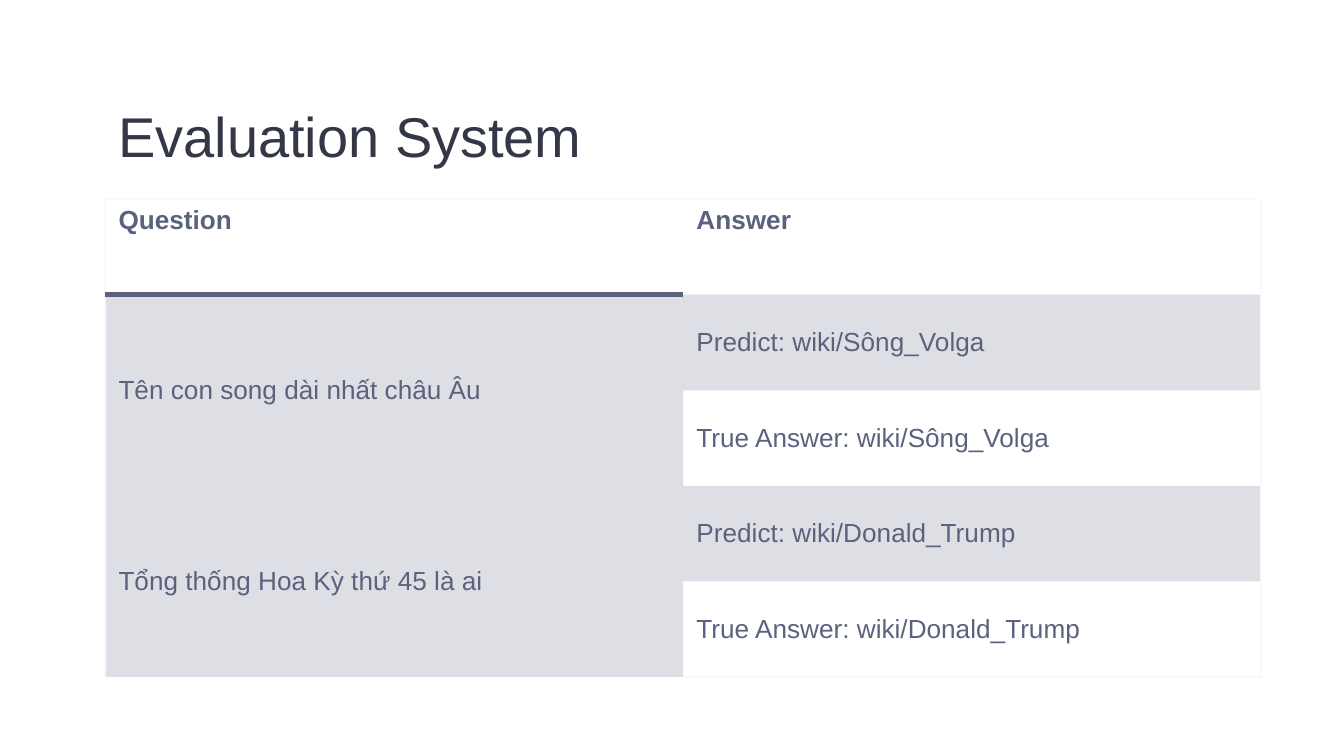
from dataclasses import dataclass, field

from lxml.etree import SubElement
from pptx import Presentation
from pptx.dml.color import RGBColor
from pptx.enum.text import MSO_ANCHOR
from pptx.oxml.ns import qn
from pptx.util import Pt

COLOURS = {"title": "333746", "body": "5B627D", "frame": "F9F9F9"}
PLAIN_TABLE = "{2D5ABB26-0587-4C30-8999-92F81FD0307C}"
HEADERS = ["Question", "Answer"]
RESULTS = [
    ("Tên con song dài nhất châu Âu", "wiki/Sông_Volga"),
    ("Tổng thống Hoa Kỳ thứ 45 là ai", "wiki/Donald_Trump"),
]


def write(frame, text, *, size, colour, font, bold=False, spacing=None):
    para = frame.paragraphs[0]
    if spacing:
        para.line_spacing = spacing
    span = para.add_run()
    span.text = text
    span.font.name = font
    span.font.size = Pt(size)
    span.font.bold = bold
    span.font.color.rgb = RGBColor.from_string(colour)


@dataclass
class SlideBuilder:
    page: object
    font: str = "Arial"
    colours: dict = field(default_factory=lambda: COLOURS)

    def title(self, text, left, top, width, height):
        box = self.page.shapes.add_textbox(Pt(left), Pt(top), Pt(width), Pt(height))
        frame = box.text_frame
        frame.word_wrap = True
        frame.vertical_anchor = MSO_ANCHOR.BOTTOM
        frame.margin_left = frame.margin_right = Pt(7.2)
        frame.margin_top = frame.margin_bottom = Pt(7.2)
        write(frame, text, size=30, colour=self.colours["title"],
              font=self.font, spacing=1.15)

    def table(self, rows, columns, left, top, width, height):
        holder = self.page.shapes.add_table(
            rows, columns, Pt(left), Pt(top), Pt(width), Pt(height))
        table = holder.table
        table.first_row = table.horz_banding = False
        table._tbl.tblPr.find(qn("a:tableStyleId")).text = PLAIN_TABLE
        for row in table.rows:
            row.height = Pt(height / rows)
        return table

    def border(self, cell, side, colour, width):
        line = SubElement(cell._tc.get_or_add_tcPr(), qn(f"a:ln{side}"), w=str(Pt(width)))
        fill = SubElement(line, qn("a:solidFill"))
        SubElement(fill, qn("a:srgbClr"), val=self.colours[colour])

    def frame_table(self, table):
        last_row, last_column = len(table.rows) - 1, len(table.columns) - 1
        for r in range(last_row + 1):
            for c in range(last_column + 1):
                edges = {"L": c == 0, "R": c == last_column,
                         "T": r == 0, "B": r == last_row}
                for side, outer in edges.items():
                    if outer:
                        self.border(table.cell(r, c), side, "frame", 0.75)

    def cell(self, cell, text, bold=False, shaded=False, anchor=MSO_ANCHOR.MIDDLE):
        cell.vertical_anchor = anchor
        write(cell.text_frame, text, size=14, colour=self.colours["body"],
              font=self.font, bold=bold)
        if shaded:
            cell.fill.solid()
            cell.fill.fore_color.rgb = RGBColor.from_string(self.colours["body"])
            colour = cell._tc.tcPr.find(qn("a:solidFill")).find(qn("a:srgbClr"))
            SubElement(colour, qn("a:alpha"), val="20000")
        else:
            cell.fill.background()


def main():
    deck = Presentation()
    deck.slide_width, deck.slide_height = Pt(720), Pt(405)
    builder = SlideBuilder(deck.slides.add_slide(deck.slide_layouts[6]))

    builder.title("Evaluation System", 56.3, 42.5, 571.7, 55.4)
    table = builder.table(1 + 2 * len(RESULTS), len(HEADERS), 56.3, 106.7, 619.2, 256)
    builder.frame_table(table)
    builder.border(table.cell(0, 0), "B", "body", 3)

    for column, header in enumerate(HEADERS):
        builder.cell(table.cell(0, column), header, bold=True, anchor=MSO_ANCHOR.TOP)
    for index, (question, answer) in enumerate(RESULTS):
        row = 1 + 2 * index
        table.cell(row, 0).merge(table.cell(row + 1, 0))
        builder.cell(table.cell(row, 0), question, shaded=True)
        builder.cell(table.cell(row, 1), f"Predict: {answer}", shaded=True)
        builder.cell(table.cell(row + 1, 1), f"True Answer: {answer}")

    deck.save("out.pptx")


if __name__ == "__main__":
    main()
